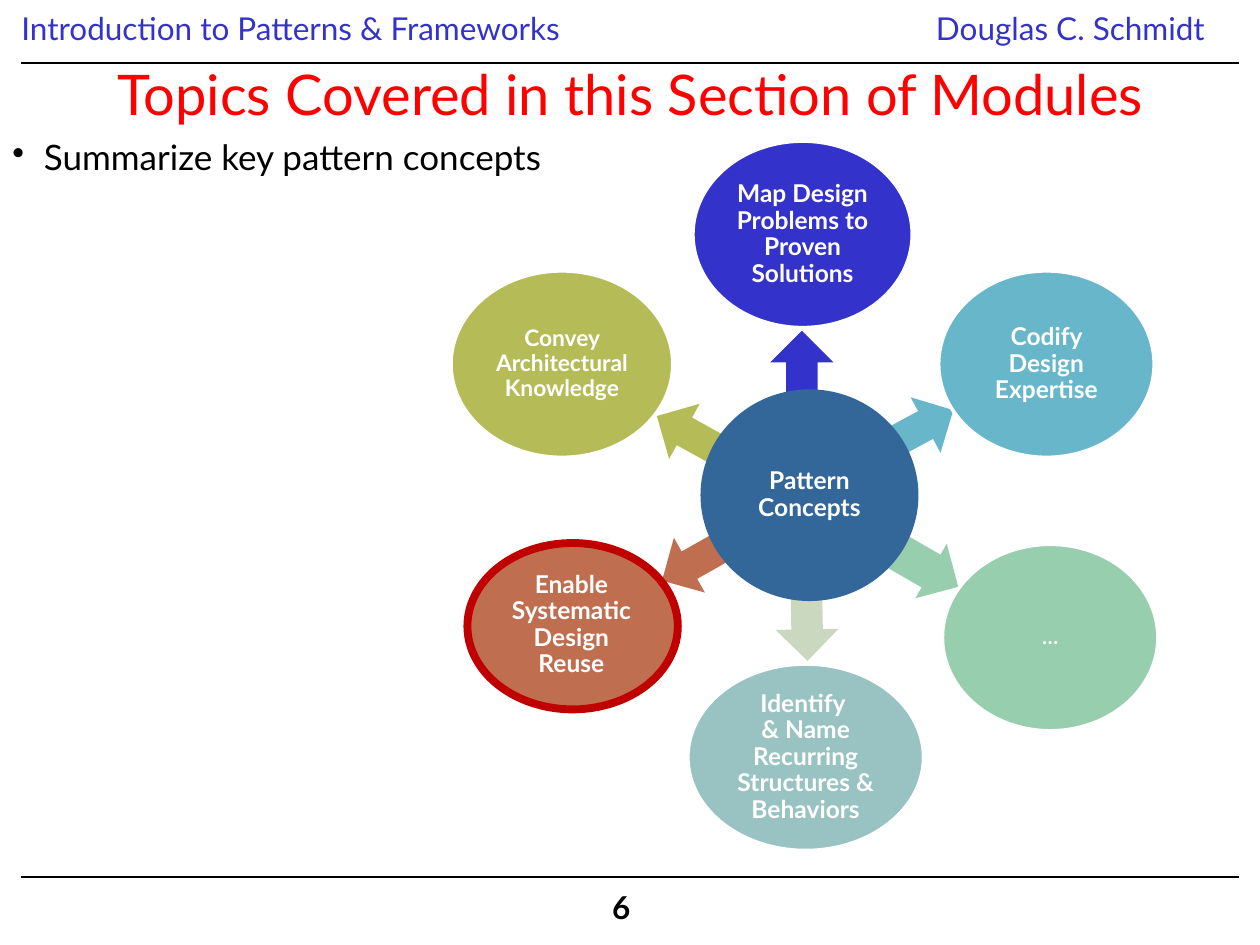
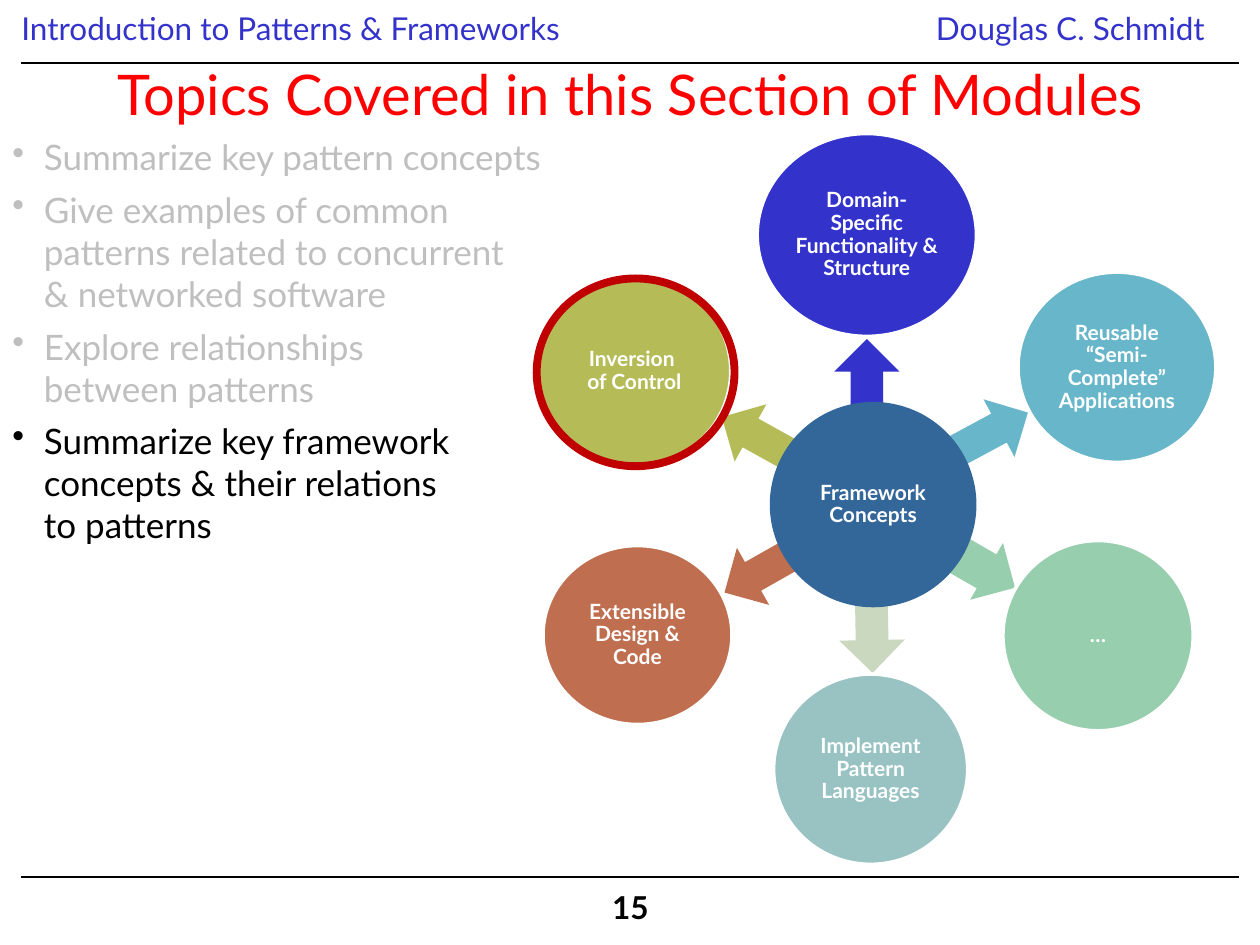
from lxml.etree import SubElement
from pptx import Presentation
from pptx.dml.color import RGBColor
from pptx.enum.shapes import MSO_CONNECTOR, MSO_SHAPE
from pptx.enum.text import MSO_ANCHOR, PP_ALIGN
from pptx.oxml.ns import qn
from pptx.util import Inches, Pt

COLORS = {
    "head": "3333CC", "title": "FF0000", "text": "000000", "done": "BFBFBF",
    "white": "FFFFFF", "ring": "C00000", "hub": "336699",
    "blue": "3333CC", "aqua": "68B6CA", "green": "97CEAD", "pale": "CAD8C0",
    "teal": "98C3C2", "rust": "BF6F4F", "olive": "B5BC57",
}

# Clockwise from the top: arrow angle, arrow color, bubble color, shaft width
SPOKES = [
    (270, "blue", "blue", 0.5),
    (331.7, "aqua", "aqua", 0.5),
    (30, "green", "green", 0.6),
    (89, "pale", "teal", 0.5),
    (150.5, "rust", "rust", 0.5),
    (209, "olive", "olive", 0.5),
]

# Each spoke: arrow (left, top, width), bubble box, text, text size
PATTERN = {
    "page": "6",
    "width": 4.61,
    "points": ["Summarize key pattern concepts"],
    "thick": 0.5,
    "spokes": [
        ((6.09, 2.65, 0.55), (5.5, 1.12, 1.74, 1.48),
         "Map Design Problems to Proven Solutions", 14),
        ((7.03, 3.14, 0.57), (7.45, 2.15, 1.71, 1.48),
         "Codify Design Expertise", 14),
        ((6.98, 4.24, 0.67), (7.48, 4.32, 1.71, 1.48), "…", 12),
        ((6.13, 4.72, 0.55), (5.46, 5.27, 1.87, 1.48),
         "Identify \n& Name Recurring Structures & Behaviors", 14),
        ((5.22, 4.23, 0.52), (3.69, 4.29, 1.69, 1.34),
         "Enable Systematic Design Reuse", 14),
        ((5.18, 3.18, 0.53), (3.58, 2.15, 1.76, 1.48),
         "Convey Architectural Knowledge", 13),
    ],
    "hub": ((5.56, 3.09, 1.73, 1.68), "Pattern Concepts", 14),
    "ring": (3.71, 4.31, 1.67, 1.32),
}

FRAMEWORK = {
    "page": "15",
    "width": 4.93,
    "points": [
        "Summarize key pattern concepts",
        "Give examples of common\npatterns related to concurrent \n"
        "& networked software",
        "Explore relationships \nbetween patterns",
        "Summarize key framework \nconcepts & their relations \nto patterns",
    ],
    "thick": 0.52,
    "spokes": [
        ((6.58, 2.73, 0.6), (6.01, 1.06, 1.74, 1.61),
         "Domain-Specific Functionality & Structure", 12),
        ((7.5, 3.18, 0.7), (8.08, 2.16, 1.57, 1.51),
         "Reusable “Semi-Complete” Applications", 12),
        ((7.44, 4.24, 0.66), (7.96, 4.29, 1.51, 1.51), "…", 12),
        ((6.6, 4.76, 0.64), (6.14, 5.35, 1.54, 1.51),
         "Implement Pattern Languages", 12),
        ((5.71, 4.29, 0.62), (4.31, 4.33, 1.5, 1.42),
         "Extensible\nDesign & Code", 12),
        ((5.69, 3.2, 0.62), (4.27, 2.19, 1.53, 1.51),
         "Inversion \nof Control", 12),
    ],
    "hub": ((6.11, 3.19, 1.64, 1.63), "Framework Concepts", 12),
    "ring": (4.26, 2.21, 1.57, 1.49),
}


def tint(name):
    return RGBColor.from_string(COLORS[name])


def inch(box):
    return [Inches(n) for n in box]


class Deck:
    font = "Lato"

    def __init__(self):
        self.prs = Presentation()
        self.prs.slide_width, self.prs.slide_height = inch((10, 7.5))
        self.slide = None

    def add_text(self, par, text, size, color, bold=False):
        """Add the text to a paragraph, one run per line."""
        for i, line in enumerate(text.split("\n")):
            if i:
                par.add_line_break()
            run = par.add_run()
            run.text = line
            run.font.name = self.font
            run.font.size = Pt(size)
            run.font.bold = bold
            run.font.color.rgb = tint(color)

    def frame(self, shape, inset=(0.1, 0.05), middle=False):
        """Set up wrapping, margins and anchor; return the text frame."""
        tf = shape.text_frame
        tf.word_wrap = True
        tf.margin_left = tf.margin_right = Inches(inset[0])
        tf.margin_top = tf.margin_bottom = Inches(inset[1])
        tf.vertical_anchor = MSO_ANCHOR.MIDDLE if middle else MSO_ANCHOR.TOP
        return tf

    def label(self, box, text, size, color, inset=(0.1, 0.05), bold=False):
        shape = self.slide.shapes.add_textbox(*inch(box))
        par = self.frame(shape, inset).paragraphs[0]
        par.line_spacing = 0.9
        self.add_text(par, text, size, color, bold)

    def rule(self, y):
        line = self.slide.shapes.add_connector(
            MSO_CONNECTOR.STRAIGHT, *inch((0.17, y, 9.83, y)))
        line.line.color.rgb = tint("text")
        line.line.width = Pt(0.75)
        SubElement(line._element.spPr, qn("a:effectLst"))

    def title(self, text):
        shape = self.slide.shapes.add_textbox(*inch((0.17, 0.53, 9.67, 0.42)))
        par = self.frame(shape, middle=True).paragraphs[0]
        par.alignment = PP_ALIGN.CENTER
        self.add_text(par, text, 32, "title")

    def start(self, page):
        """Add a slide with the shared header, title and footer."""
        self.slide = self.prs.slides.add_slide(self.prs.slide_layouts[6])
        self.label((0.17, 0.06, 5.92, 0.37),
                   "Introduction to Patterns & Frameworks", 18, "head", (0, 0.05))
        self.label((7.33, 0.06, 2.51, 0.4), "Douglas C. Schmidt", 18, "head")
        self.rule(0.5)
        self.rule(6.96)
        self.label((4.76, 7.03, 0.51, 0.4), page, 18, "text", bold=True)
        self.title("Topics Covered in this Section of Modules")

    def bullets(self, width, points):
        """Add bullets; all but the last are grayed as done."""
        shape = self.slide.shapes.add_textbox(*inch((0, 1.03, width, 5.85)))
        tf = self.frame(shape)
        for i, text in enumerate(points):
            par = tf.add_paragraph() if i else tf.paragraphs[0]
            par.space_before = Pt(6)
            props = par._p.get_or_add_pPr()
            props.set("marL", str(Inches(0.25)))
            props.set("indent", str(-Inches(0.25)))
            SubElement(props, qn("a:buChar")).set("char", "•")
            last = i == len(points) - 1
            self.add_text(par, text, 20, "text" if last else "done")

    def shape(self, kind, box, fill=None, line=None, width=2):
        shape = self.slide.shapes.add_shape(kind, *inch(box))
        shape.shadow.inherit = False
        if fill:
            shape.fill.solid()
            shape.fill.fore_color.rgb = tint(fill)
        else:
            shape.fill.background()
        if line:
            shape.line.color.rgb = tint(line)
            shape.line.width = Pt(width)
        else:
            shape.line.fill.background()
        return shape

    def caption(self, shape, text, size, inset=(0.1, 0.05)):
        par = self.frame(shape, inset, middle=True).paragraphs[0]
        par.alignment = PP_ALIGN.CENTER
        par.line_spacing = 0.9
        self.add_text(par, text, size, "white", bold=True)

    def arrow(self, box, angle, fill, shaft):
        shape = self.shape(MSO_SHAPE.RIGHT_ARROW, box, fill)
        shape.rotation = angle
        shape.adjustments[0] = shaft

    def wheel(self, topic):
        """Draw the spokes, then the hub, then the ring on the current spoke."""
        for look, spoke in zip(SPOKES, topic["spokes"]):
            angle, color, fill, shaft = look
            place, box, text, size = spoke
            self.arrow((*place, topic["thick"]), angle, color, shaft)
            bubble = self.shape(MSO_SHAPE.OVAL, box, fill, "white")
            self.caption(bubble, text, size, (0.02, 0.02))
        box, text, size = topic["hub"]
        hub = self.shape(MSO_SHAPE.FLOWCHART_CONNECTOR, box, "hub")
        self.caption(hub, text, size)
        self.shape(MSO_SHAPE.OVAL, topic["ring"], line="ring", width=4.5)


def main():
    deck = Deck()
    for topic in (PATTERN, FRAMEWORK):
        deck.start(topic["page"])
        deck.bullets(topic["width"], topic["points"])
        deck.wheel(topic)
    deck.prs.save("out.pptx")


if __name__ == "__main__":
    main()
